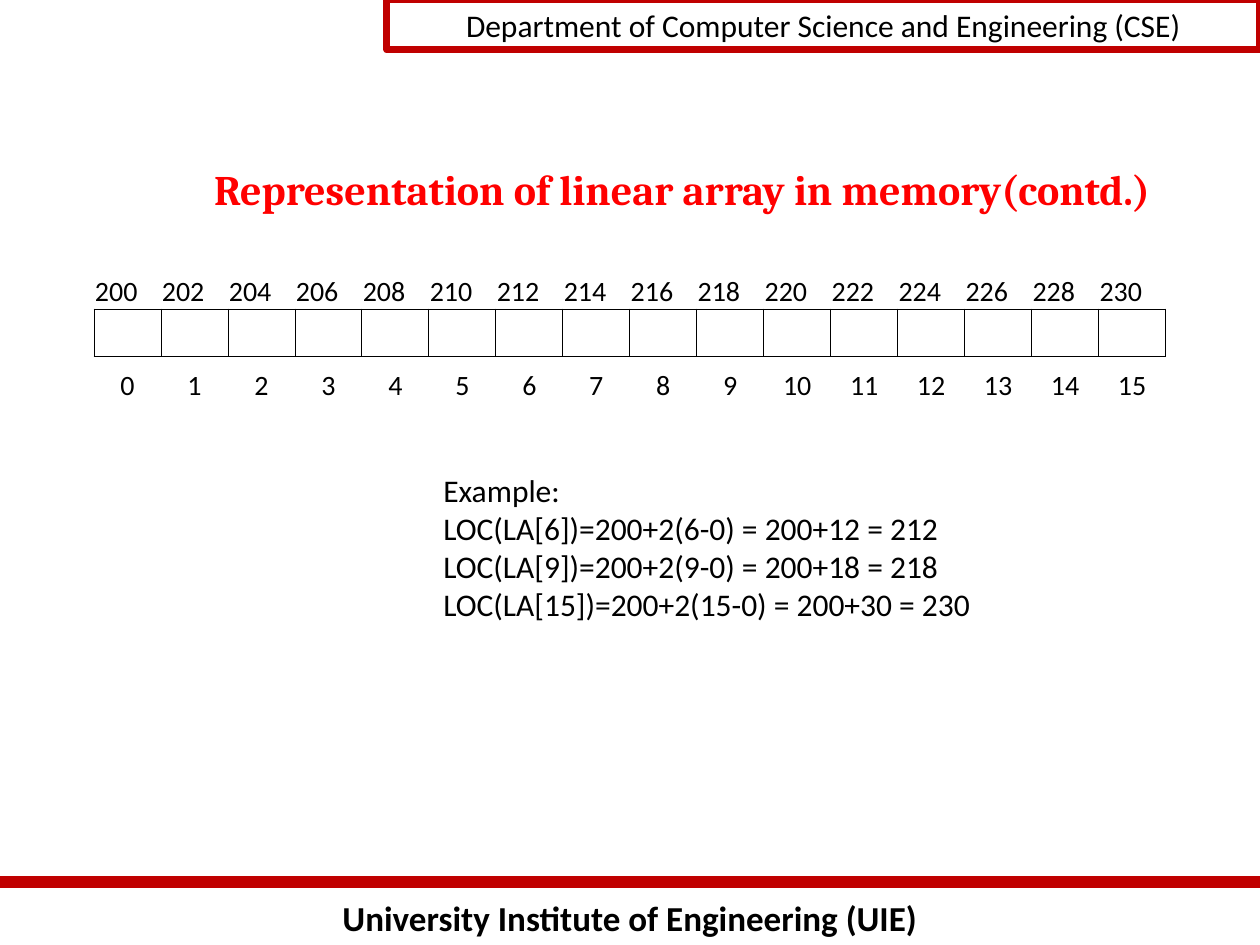
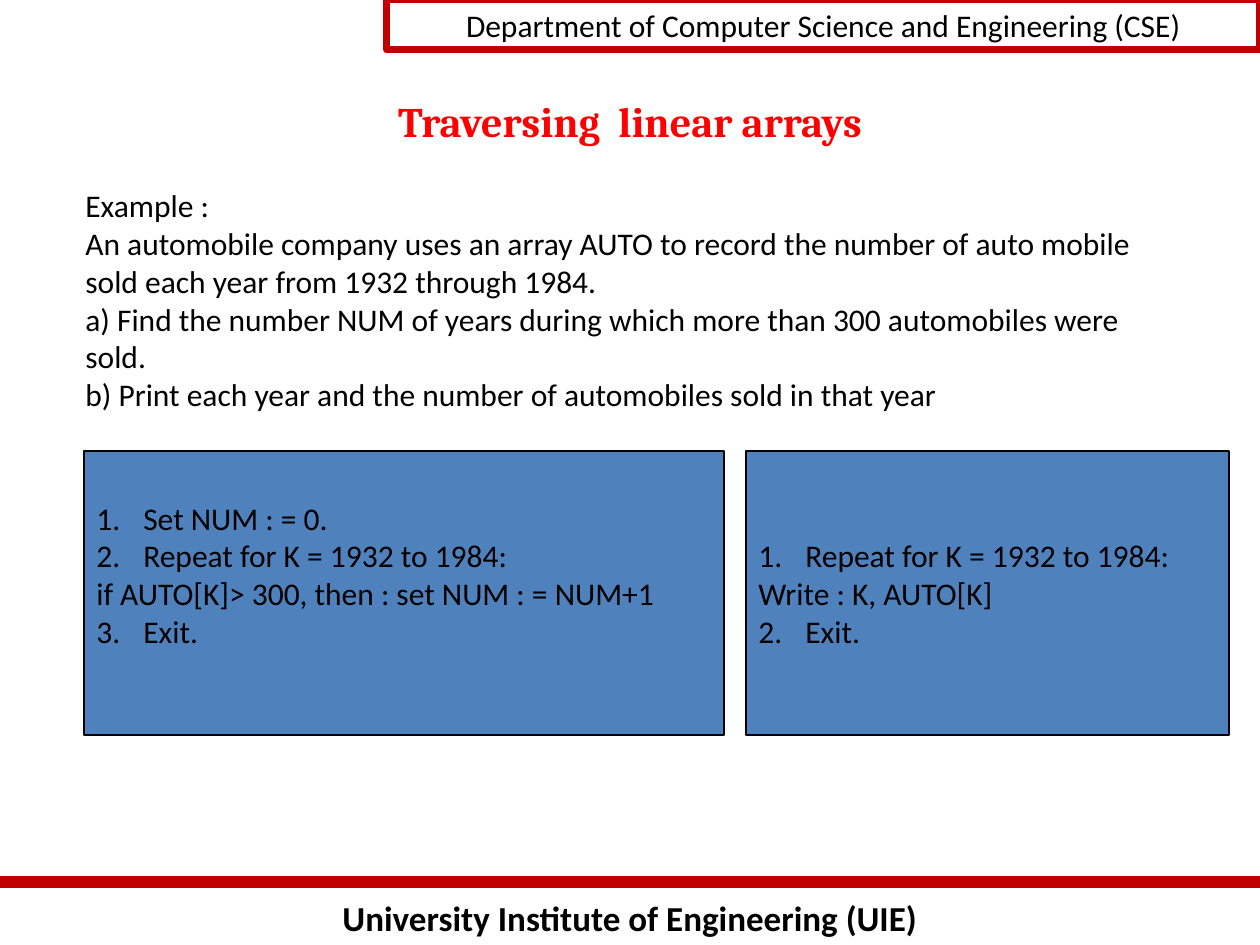
"""Build two slides on linear arrays: their place in memory and their traversal."""
from lxml.etree import SubElement
from pptx import Presentation
from pptx.dml.color import RGBColor
from pptx.enum.shapes import MSO_CONNECTOR, MSO_SHAPE
from pptx.enum.text import MSO_ANCHOR, PP_ALIGN
from pptx.oxml.ns import qn
from pptx.util import Pt

PX = 914400 / 126
HUE = {"ink": "000000", "title": "FF0000", "band": "C00000", "box": "4F81BD"}
PLAIN = "{2D5ABB26-0587-4C30-8999-92F81FD0307C}"
LEFT, MID = PP_ALIGN.LEFT, PP_ALIGN.CENTER


def px(*nums):
    """Turn px into EMU."""
    return [round(n * PX) for n in nums]


def put(frame, lines, size=18, align=LEFT, anchor=MSO_ANCHOR.MIDDLE,
        face="Calibri", hue="ink", bold=False):
    """Write lines into a frame; a (number, text) pair becomes a numbered line."""
    frame.word_wrap = True
    frame.vertical_anchor = anchor
    for i, line in enumerate(lines):
        para = frame.paragraphs[0] if i == 0 else frame.add_paragraph()
        para.alignment = align
        if isinstance(line, tuple):
            start, line = line
            props = para._p.get_or_add_pPr()
            dent = px(47)[0]
            props.set("marL", str(dent))
            props.set("indent", str(-dent))
            SubElement(props, qn("a:buFont"), typeface="+mj-lt")
            SubElement(props, qn("a:buAutoNum"), type="arabicPeriod", startAt=str(start))
        run = para.add_run()
        run.text = line
        run.font.size = Pt(size)
        run.font.name = face
        run.font.bold = bold
        run.font.color.rgb = RGBColor.from_string(HUE[hue])


deck = Presentation()
deck.slide_width, deck.slide_height = px(1260, 945)

heads = [
    ("Representation of linear array in memory(contd.)", (136, 147, 1092, 84)),
    ("Traversing  linear arrays", (63, 42, 1134, 158)),
]
pages = []
for head, place in heads:
    page = deck.slides.add_slide(deck.slide_layouts[6])
    pages.append(page)
    foot = page.shapes.add_textbox(*px(0, 890, 1260, 55))
    put(foot.text_frame, ["University Institute of Engineering (UIE)"], 20, MID, bold=True)

    rule = page.shapes.add_connector(MSO_CONNECTOR.STRAIGHT, *px(0, 882, 1260, 882))
    rule.line.color.rgb = RGBColor.from_string(HUE["band"])
    rule.line.width = Pt(7)
    SubElement(rule._element.spPr, qn("a:effectLst"))

    band = page.shapes.add_shape(MSO_SHAPE.RECTANGLE, *px(387, 0, 873, 50))
    band.shadow.inherit = False
    band.fill.background()
    band.line.color.rgb = RGBColor.from_string(HUE["band"])
    band.line.width = Pt(4)
    put(band.text_frame, ["Department of Computer Science and Engineering (CSE)"], align=MID)

    title = page.shapes.add_textbox(*px(*place))
    put(title.text_frame, [head], 24, MID, face="Cambria", hue="title", bold=True)

memo, walk = pages

COUNT, WIDE, HIGH = 16, 67, 47
grid = memo.shapes.add_table(3, COUNT, *px(94, 262, COUNT * WIDE, 3 * HIGH)).table
grid.first_row = grid.horz_banding = False
grid._tbl.tblPr.find(qn("a:tableStyleId")).text = PLAIN
for row in grid.rows:
    row.height = px(HIGH)[0]
for col in range(COUNT):
    grid.columns[col].width = px(WIDE)[0]
    for row in range(3):
        cell = grid.cell(row, col)
        cell.margin_left = cell.margin_right = cell.margin_top = px(1)[0]
        cell.margin_bottom = 0
        for side in (["lnB"], ["lnL", "lnR", "lnT", "lnB"], ["lnT"])[row]:
            edge = SubElement(cell._tc.get_or_add_tcPr(), qn("a:" + side), w=str(Pt(0.5)))
            SubElement(SubElement(edge, qn("a:solidFill")), qn("a:srgbClr"), val=HUE["ink"])
        cell.fill.background()
    low = MSO_ANCHOR.BOTTOM
    for row, text, align in ((0, 200 + 2 * col, LEFT), (2, col, MID)):
        cell = grid.cell(row, col)
        put(cell.text_frame, [str(text)], 16, align)
        cell.vertical_anchor = low

notes = [
    (memo, (431, 465, 809, 375), [
        "Example:",
        "LOC(LA[6])=200+2(6-0) = 200+12 = 212",
        "LOC(LA[9])=200+2(9-0) = 200+18 = 218",
        "LOC(LA[15])=200+2(15-0) = 200+30 = 230",
    ]),
    (walk, (73, 180, 1124, 334), [
        "Example :",
        "An automobile company uses an array AUTO to record the number of auto mobile "
        "sold each year from 1932 through 1984.",
        "a) Find the number NUM of years during which more than 300 automobiles were sold.",
        "b) Print each year and the number of automobiles sold in that year",
    ]),
]
for page, place, lines in notes:
    note = page.shapes.add_textbox(*px(*place))
    put(note.text_frame, lines, anchor=MSO_ANCHOR.TOP)

LOOP = "Repeat for K = 1932 to 1984:"
steps = [
    (84, 640, 44, [(1, "Set NUM : = 0."), (2, LOOP),
                   "if AUTO[K]> 300, then : set NUM : = NUM+1", (3, "Exit.")]),
    (746, 483, 6, [(1, LOOP), "Write : K, AUTO[K]", (2, "Exit.")]),
]
for left, wide, base, lines in steps:
    box = walk.shapes.add_shape(MSO_SHAPE.RECTANGLE, *px(left, 451, wide, 284))
    box.shadow.inherit = False
    box.fill.solid()
    box.fill.fore_color.rgb = RGBColor.from_string(HUE["box"])
    box.line.color.rgb = RGBColor.from_string(HUE["ink"])
    box.line.width = Pt(0.75)
    box.text_frame.margin_bottom = px(base)[0]
    put(box.text_frame, lines)

deck.save("out.pptx")
